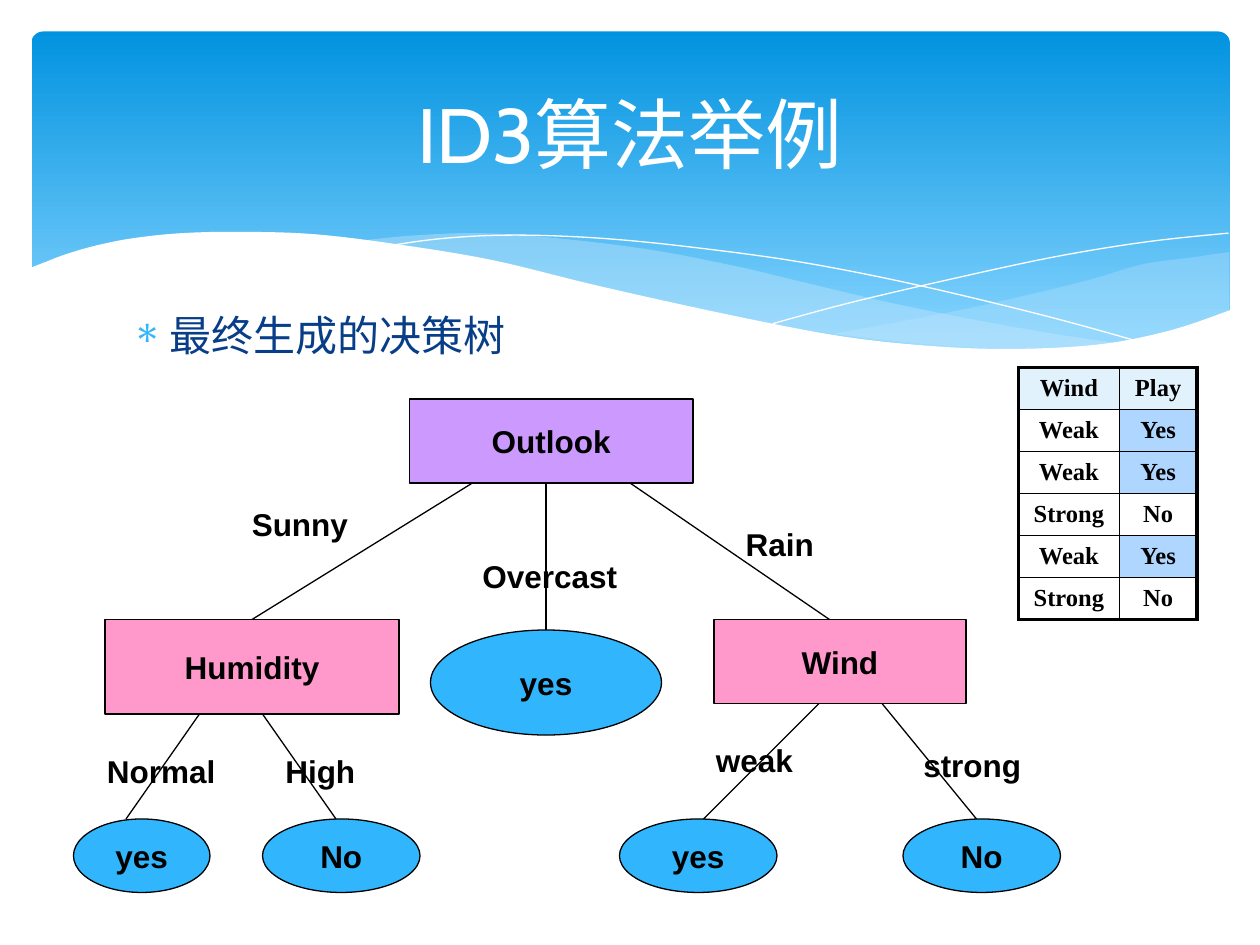
"""Builds a slide showing the final ID3 decision tree beside its Wind table."""
from typing import NamedTuple

from lxml.etree import SubElement
from pptx import Presentation
from pptx.dml.color import RGBColor
from pptx.enum.shapes import MSO_CONNECTOR, MSO_SHAPE
from pptx.enum.text import MSO_ANCHOR as Anchor, PP_ALIGN as Align
from pptx.oxml.ns import qn
from pptx.util import Pt

BLACK, WHITE, PALE, SKY = "000000", "FFFFFF", "C6E7FC", "31B6FD"
PURPLE, PINK, YES_BLUE = "CC99FF", "FF99CC", "5EAEFF"
Point = tuple[float, float]
Curve = list[Point]


class Node(NamedTuple):
    text: str
    box: tuple[float, float, float, float]
    color: str = SKY
    kind: MSO_SHAPE = MSO_SHAPE.OVAL


class Branch(NamedTuple):
    text: str
    start: Point
    end: Point
    label: tuple[float, float, float]


NODES = [
    Node("Outlook", (234, 228, 162, 48), PURPLE, MSO_SHAPE.RECTANGLE),
    Node("Humidity", (60, 354, 168, 54), PINK, MSO_SHAPE.RECTANGLE),
    Node("Wind", (408, 354, 144, 48), PINK, MSO_SHAPE.RECTANGLE),
    Node("yes", (246, 360, 132, 60)),
    Node("yes", (42, 468, 78, 42)),
    Node("No", (150, 468, 90, 42)),
    Node("yes", (354, 468, 90, 42)),
    Node("No", (516, 468, 90, 42)),
]
BRANCHES = [
    Branch("Sunny", (270, 276), (144, 354), (136.8, 285, 70)),
    Branch("Overcast", (312, 276), (312, 360), (268.6, 314.6, 91.5)),
    Branch("Rain", (360, 276), (474, 354), (419, 296.6, 53.3)),
    Branch("Normal", (114, 408), (72, 468), (54, 426, 76.3)),
    Branch("High", (150, 408), (192, 468), (156, 426, 54.7)),
    Branch("weak", (468, 402), (402, 468), (402, 420, 58.3)),
    Branch("strong", (504, 402), (558, 468), (520.5, 423, 70.5)),
]
ROWS = [("Wind", "Play"), ("Weak", "Yes"), ("Weak", "Yes"),
        ("Strong", "No"), ("Weak", "Yes"), ("Strong", "No")]

RIGHT_WAVE = [
    [(702.5, 144), (682.6, 146.9), (652.3, 151.2), (620, 160.6), (561, 174.6), (508, 185), (476, 190.8)],
    [(476, 190.8), (507, 194.4), (536, 197.3), (570, 199.4), (600, 199.4), (628, 197.3), (657, 192.2),
     (683, 185), (702.5, 177.8)],
]
LONG_WAVE = [
    [(206, 137.5), (236, 134.6), (273.6, 133.2), (317, 136), (371, 142.6), (420, 152), (453, 159.8),
     (508, 172.8), (558, 182.9), (602.6, 190.8), (643, 196.6)],
    [(643, 196.6), (617, 199.4), (588, 200.2), (556, 199.4), (520, 196.6), (479, 191.5), (433, 183.6),
     (382, 172.8), (323, 159.8), (276, 149), (232.6, 141.1), (206, 137.5)],
]
FALLING_LINE = [(222.5, 140.4), (247.7, 136.8), (278.6, 134.6), (311.8, 134.6), (352, 136.8),
                (400, 141.8), (457.9, 149.8), (523.4, 162.7), (598.3, 180.7), (653, 195.8)]
RISING_LINE = [(441.4, 185), (483.8, 173.5), (538.6, 160.6), (602, 146.9), (655.2, 138.2), (702, 133.2)]
WHITE_WAVE = [
    [(703.4, 177.1), (669.6, 188.6), (630, 196.6), (582.5, 199.4), (535.7, 198), (481, 192.2), (417, 180),
     (342, 163.4), (281.5, 148.7), (227.5, 139.7), (180, 133.9), (139, 132.5), (105, 133.2), (76.3, 136.1),
     (54.7, 140.4), (37.4, 145.4), (25.9, 149.8), (16.6, 153.4)],
    [(16.6, 236.9), (703.4, 236.9)],
]


def rgb(color: str) -> RGBColor:
    return RGBColor.from_string(color)


def paint(fill, color: str, opacity: int = 100) -> None:
    fill.solid()
    fill.fore_color.rgb = rgb(color)
    if opacity < 100:
        color_element = fill._xPr.find(qn("a:solidFill"))[0]
        SubElement(color_element, qn("a:alpha"), val=str(opacity * 1000))


def write(frame, text: str, size: float, font: str, color: str, bold: bool = False, align=Align.LEFT):
    paragraph = frame.paragraphs[0]
    paragraph.text = text
    paragraph.alignment = align
    paragraph.font.size = Pt(size)
    paragraph.font.name = font
    paragraph.font.bold = bold
    paragraph.font.color.rgb = rgb(color)
    return paragraph


def add_text(slide, box, wrap: bool, *style, anchor=Anchor.TOP, **options):
    frame = slide.shapes.add_textbox(*map(Pt, box)).text_frame
    frame.word_wrap = wrap
    frame.vertical_anchor = anchor
    return write(frame, *style, **options)


def smooth(knots: Curve, steps: int = 6) -> Curve:
    """Return points of a Catmull-Rom curve through the knots."""
    if len(knots) < 3:
        return knots
    padded = [knots[0], *knots, knots[-1]]
    points = [knots[0]]
    for a, b, c, d in zip(padded, padded[1:], padded[2:], padded[3:]):
        for step in range(1, steps + 1):
            t = step / steps
            points.append(tuple(
                (2 * q + (r - p) * t + (2 * p - 5 * q + 4 * r - s) * t ** 2
                 + (3 * q - p - 3 * r + s) * t ** 3) / 2
                for p, q, r, s in zip(a, b, c, d)))
    return points


def add_curve(slide, curves: list[Curve], closed: bool):
    points = [(Pt(x), Pt(y)) for curve in curves for x, y in smooth(curve)]
    builder = slide.shapes.build_freeform(*points[0])
    builder.add_line_segments(points[1:], close=closed)
    shape = builder.convert_to_shape()
    shape.shadow.inherit = False
    return shape


def add_wave(slide, curves: list[Curve], color: str, opacity: int = 100) -> None:
    shape = add_curve(slide, curves, True)
    paint(shape.fill, color, opacity)
    shape.line.fill.background()


def add_header(slide) -> None:
    banner = slide.shapes.add_shape(MSO_SHAPE.ROUNDED_RECTANGLE, Pt(18), Pt(18), Pt(684.7), Pt(194.4))
    banner.adjustments[0] = 0.034
    banner.shadow.inherit = False
    banner.line.fill.background()
    banner.fill.gradient()
    banner.fill.gradient_angle = 270
    for stop, color, position in zip(banner.fill.gradient_stops, ("0293E0", "83D3FE"), (0, 0.9)):
        stop.color.rgb = rgb(color)
        stop.position = position
    add_wave(slide, RIGHT_WAVE, PALE, 29)
    add_wave(slide, LONG_WAVE, PALE, 40)
    for knots in (FALLING_LINE, RISING_LINE):
        curve = add_curve(slide, [knots], False)
        curve.fill.background()
        curve.line.color.rgb = rgb(WHITE)
        curve.line.width = Pt(0)
    add_wave(slide, WHITE_WAVE, WHITE)


def add_node(slide, node: Node) -> None:
    shape = slide.shapes.add_shape(node.kind, *map(Pt, node.box))
    shape.shadow.inherit = False
    paint(shape.fill, node.color)
    shape.line.color.rgb = rgb(BLACK)
    shape.line.width = Pt(0.75)
    shape.text_frame.word_wrap = False
    shape.text_frame.vertical_anchor = Anchor.MIDDLE
    write(shape.text_frame, node.text, 18, "Arial", BLACK, True, Align.CENTER)


def add_branch(slide, branch: Branch) -> None:
    line = slide.shapes.add_connector(MSO_CONNECTOR.STRAIGHT, *map(Pt, branch.start + branch.end))
    line.line.color.rgb = rgb(BLACK)
    line.line.width = Pt(0.75)
    SubElement(line._element.spPr, qn("a:effectLst"))
    add_text(slide, (*branch.label, 29), False, branch.text, 18, "Arial", BLACK, True)


def add_border(cell, side: str, width: float) -> None:
    border = SubElement(cell._tc.get_or_add_tcPr(), qn(f"a:{side}"), w=str(Pt(width)))
    SubElement(SubElement(border, qn("a:solidFill")), qn("a:srgbClr"), val=BLACK)


def add_wind_table(slide) -> None:
    table = slide.shapes.add_table(len(ROWS), 2, Pt(582), Pt(210), Pt(102), Pt(144)).table
    table.first_row = table.horz_banding = False
    table.columns[0].width, table.columns[1].width = Pt(57.6), Pt(44.4)
    for r, row in enumerate(ROWS):
        for c, text in enumerate(row):
            cell = table.cell(r, c)
            cell.margin_top = cell.margin_bottom = Pt(0)
            cell.vertical_anchor = Anchor.MIDDLE
            write(cell.text_frame, text, 14, "Times New Roman", BLACK, True, Align.CENTER)
            outer = {"lnL": c == 0, "lnR": c == 1, "lnT": r == 0, "lnB": r == len(ROWS) - 1}
            for side, thick in outer.items():
                add_border(cell, side, 2.25 if thick else 1)
            if r == 0 or text == "Yes":
                paint(cell.fill, PALE if r == 0 else YES_BLUE, 50)
            else:
                cell.fill.background()


def add_bullet(paragraph, symbol: str, color: str) -> None:
    properties = paragraph._p.get_or_add_pPr()
    properties.set("marL", str(Pt(21.6)))
    properties.set("indent", str(-Pt(21.6)))
    bullet_color = SubElement(properties, qn("a:buClr"))
    SubElement(bullet_color, qn("a:srgbClr"), val=color)
    SubElement(properties, qn("a:buChar"), char=symbol)
    properties.append(properties.find(qn("a:defRPr")))


def main() -> None:
    presentation = Presentation()
    presentation.slide_width, presentation.slide_height = Pt(720), Pt(540)
    slide = presentation.slides.add_slide(presentation.slide_layouts[6])
    add_header(slide)
    add_text(slide, (36, 26.6, 648, 98.6), True, "ID3算法举例", 44, "Cabin", WHITE,
             align=Align.CENTER, anchor=Anchor.MIDDLE)
    body = add_text(slide, (68.4, 173.5, 583.2, 308.9), True, "最终生成的决策树", 24, "Cabin", "073E87")
    body.space_before = Pt(4.8)
    add_bullet(body, "∗", SKY)
    for node in NODES:
        add_node(slide, node)
    for branch in BRANCHES:
        add_branch(slide, branch)
    add_wind_table(slide)
    presentation.save("out.pptx")


if __name__ == "__main__":
    main()
